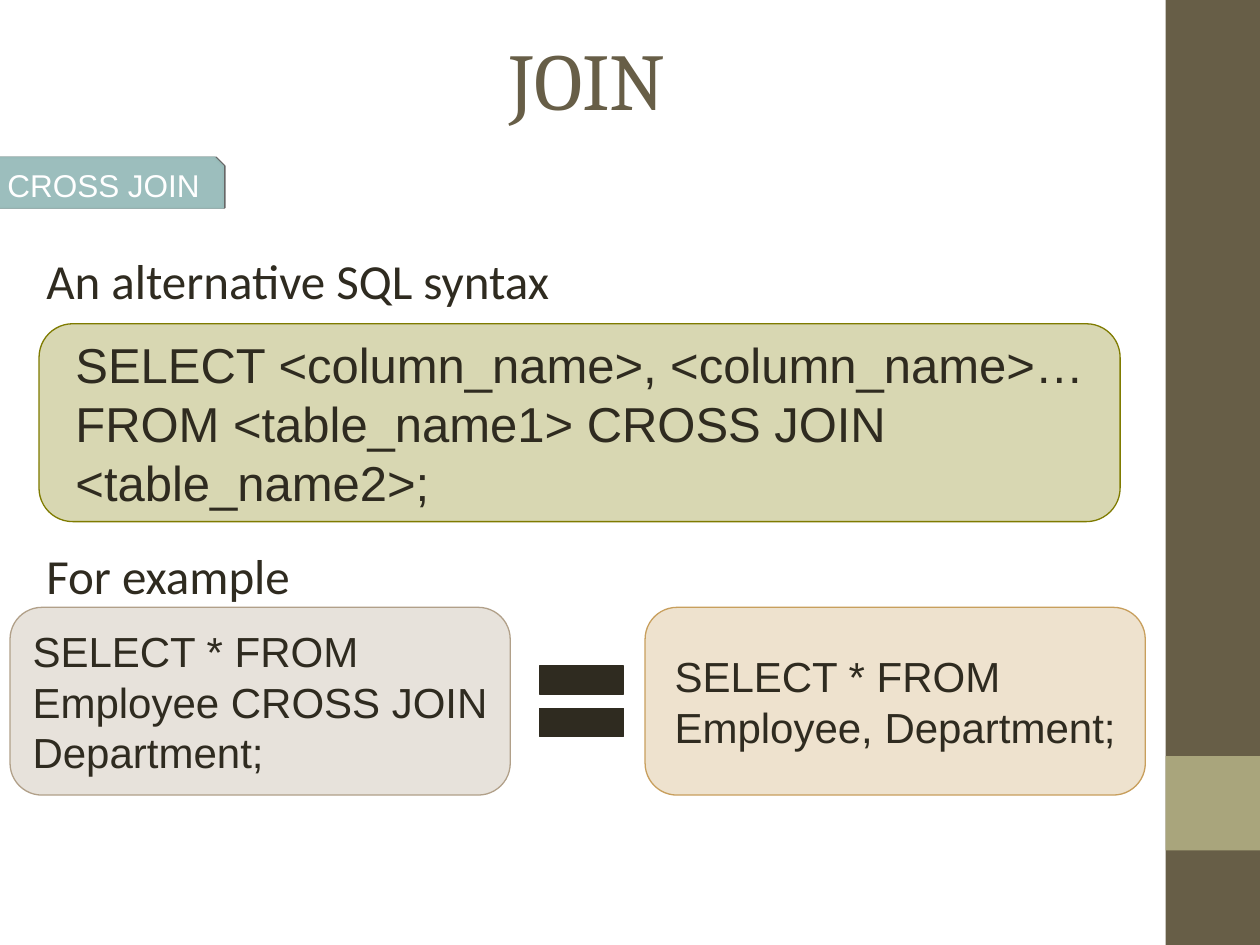
"""Build the CROSS JOIN syntax slide on a grid of 100 columns by 75 rows."""
import lxml.etree
import pptx
import pptx.dml.color
import pptx.enum.shapes
import pptx.enum.text
import pptx.oxml.ns
import pptx.util

RGBColor = pptx.dml.color.RGBColor
Shapes = pptx.enum.shapes.MSO_SHAPE
Align = pptx.enum.text.PP_ALIGN
Anchor = pptx.enum.text.MSO_ANCHOR
qn = pptx.oxml.ns.qn

BROWN = RGBColor(0x67, 0x5E, 0x47)
SAGE = RGBColor(0xA9, 0xA5, 0x7C)
TEAL = RGBColor(0x9C, 0xBE, 0xBD)
TEAL_EDGE = RGBColor(0x98, 0xBB, 0xB9)
INK = RGBColor(0x2F, 0x2B, 0x20)
WHITE = RGBColor(0xFF, 0xFF, 0xFF)
OLIVE = RGBColor(0x7F, 0x7B, 0x00)
TAUPE = RGBColor(0xB1, 0xA0, 0x89)
AMBER = RGBColor(0xC8, 0x9F, 0x5D)

presentation = pptx.Presentation()
presentation.slide_width = pptx.util.Inches(10)
presentation.slide_height = pptx.util.Inches(7.5)
COLUMN = presentation.slide_width / 100
ROW = presentation.slide_height / 75
slide = presentation.slides.add_slide(presentation.slide_layouts[6])


def add_block(kind, column, row, columns, rows, fill, edge=None, edge_width=0.75):
    place = (round(column * COLUMN), round(row * ROW), round(columns * COLUMN), round(rows * ROW))
    shape = slide.shapes.add_shape(kind, *place)
    shape.shadow.inherit = False
    shape.fill.solid()
    shape.fill.fore_color.rgb = fill
    if edge is None:
        shape.line.fill.background()
    else:
        shape.line.color.rgb = edge
        shape.line.width = pptx.util.Pt(edge_width)
    return shape


def write(shape, text, font, size, color, alignment=Align.LEFT, anchor=Anchor.MIDDLE):
    frame = shape.text_frame
    frame.word_wrap = True
    frame.vertical_anchor = anchor
    paragraph = frame.paragraphs[0]
    paragraph.text = text
    paragraph.alignment = alignment
    paragraph.font.name = font
    paragraph.font.size = pptx.util.Pt(size)
    paragraph.font.color.rgb = color


add_block(Shapes.RECTANGLE, 92.5, 0, 7.5, 75, BROWN)
add_block(Shapes.RECTANGLE, 92.5, 60, 7.5, 7.5, SAGE)

title = slide.shapes.add_textbox(round(5 * COLUMN), 0, round(83.3 * COLUMN), round(12.5 * ROW))
write(title, "JOIN", "Cambria", 46, BROWN, Align.CENTER)

tag = add_block(Shapes.SNIP_1_RECTANGLE, -0.4, 12.5, 18.1, 4, TEAL, TEAL_EDGE, 1)
tag.adjustments[0] = 0.17
write(tag, "CROSS JOIN", "Arial", 18, WHITE)
effects = tag.fill._xPr.find(qn("a:effectLst"))
shadow = lxml.etree.SubElement(effects, qn("a:outerShdw"), blurRad="0", dist="12700", dir="0")
shadow_color = lxml.etree.SubElement(shadow, qn("a:srgbClr"), val="000000")
lxml.etree.SubElement(shadow_color, qn("a:alpha"), val="60000")

for text, row in (("An alternative SQL syntax", 19.4), ("For example", 42.8)):
    heading = slide.shapes.add_textbox(
        round(2.7 * COLUMN), round(row * ROW), round(86 * COLUMN), round(5.8 * ROW))
    write(heading, text, "Calibri", 28, INK, anchor=Anchor.TOP)

statements = (
    ("SELECT * FROM Employee CROSS JOIN Department;", 0.8, 48.2, 39.7, 14.9, TAUPE, 24),
    ("SELECT <column_name>, <column_name>… FROM <table_name1> CROSS JOIN <table_name2>;",
     3.1, 25.7, 85.8, 15.7, OLIVE, 28),
    ("SELECT * FROM Employee, Department;", 51.2, 48.2, 39.7, 14.9, AMBER, 24),
)
for text, column, row, columns, rows, color, size in statements:
    box = add_block(Shapes.ROUNDED_RECTANGLE, column, row, columns, rows, color, color)
    box.adjustments[0] = 0.17
    fill_color = box.fill._xPr.find(qn("a:solidFill")).find(qn("a:srgbClr"))
    lxml.etree.SubElement(fill_color, qn("a:alpha"), val="30000")
    write(box, text, "Arial", size, INK)
    box.text_frame._txBody.bodyPr.set("anchorCtr", "1")

add_block(Shapes.MATH_EQUAL, 41.6, 50.9, 9.1, 9.5, INK, INK)

presentation.save("out.pptx")
